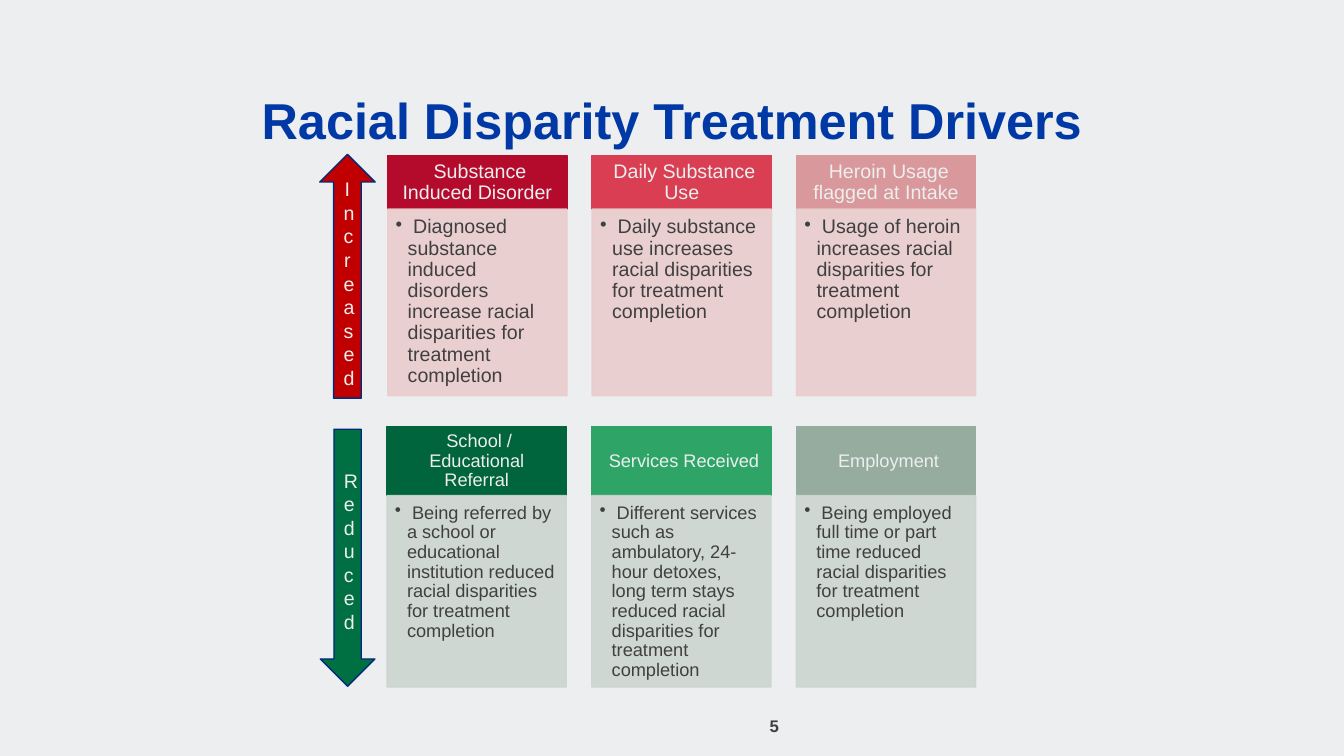
import dataclasses

import lxml.etree
import pptx
import pptx.dml.color
import pptx.enum.shapes
import pptx.enum.text
import pptx.oxml.ns
import pptx.util

Pt = pptx.util.Pt
SHAPES = pptx.enum.shapes.MSO_SHAPE
ALIGN = pptx.enum.text.PP_ALIGN
ANCHOR = pptx.enum.text.MSO_ANCHOR

FONT = "Arial"
PALE = "EDEEEF"
DARK = "404041"
NAVY = "002A7B"
NBSP = " "
CARD_WIDTH = 128


@dataclasses.dataclass
class Driver:
    heading: str
    effect: str
    color: str


@dataclasses.dataclass
class Direction:
    label: str
    arrow: SHAPES
    arrow_color: str
    arrow_box: tuple[float, float, float, float]
    left: float
    pitch: float
    top: float
    heading_height: float
    effect_height: float
    tint: str
    size: float
    drivers: list[Driver]


DIRECTIONS = [
    Direction(
        "Increased", SHAPES.UP_ARROW, "C00000", (228.4, 110.2, 39.6, 174.2),
        277, 146, 111, 38.4, 133.3, "EACCCD", 14,
        [
            Driver("Substance Induced Disorder",
                   "Diagnosed substance induced disorders increase racial disparities "
                   "for treatment completion", "B40B2C"),
            Driver("Daily Substance Use",
                   "Daily substance use increases racial disparities for treatment completion",
                   "D93E52"),
            Driver("Heroin Usage flagged at Intake",
                   "Usage of heroin increases racial disparities for treatment completion",
                   "D9989B"),
        ]),
    Direction(
        "Reduced", SHAPES.DOWN_ARROW, "006F42", (228.8, 306.6, 39, 183.6),
        276.5, 146.2, 304.8, 49.2, 136.8, "CCD5CF", 13,
        [
            Driver("School / Educational Referral",
                   "Being referred by a school or educational institution reduced racial "
                   "disparities for treatment completion", "00653C"),
            Driver("Services Received",
                   "Different services such as ambulatory, 24-hour detoxes, long term stays "
                   "reduced racial disparities for treatment completion", "2EA567"),
            Driver("Employment",
                   "Being employed full time or part time reduced racial disparities "
                   "for treatment completion", "95AC9E"),
        ]),
]


def rgb(color: str) -> pptx.dml.color.RGBColor:
    return pptx.dml.color.RGBColor.from_string(color)


def write(shape, text: str, size: float, color: str, bold: bool = False,
          align: ALIGN = ALIGN.CENTER, anchor: ANCHOR = ANCHOR.MIDDLE,
          insets: tuple[float, float, float, float] = (7.2, 3.6, 7.2, 3.6),
          spacing: float = 1.0, bullet: bool = False) -> None:
    frame = shape.text_frame
    frame.text = text
    frame.word_wrap = True
    frame.auto_size = pptx.enum.text.MSO_AUTO_SIZE.NONE
    frame.vertical_anchor = anchor
    frame.margin_left, frame.margin_top, frame.margin_right, frame.margin_bottom = map(Pt, insets)
    paragraph = frame.paragraphs[0]
    paragraph.alignment = align
    paragraph.line_spacing = spacing
    if bullet:
        properties = paragraph._p.get_or_add_pPr()
        properties.set("marL", str(Pt(8.64)))
        properties.set("indent", str(Pt(-8.64)))
        mark = lxml.etree.SubElement(properties, pptx.oxml.ns.qn("a:buChar"))
        mark.set("char", "•")
    font = paragraph.runs[0].font
    font.name = FONT
    font.size = Pt(size)
    font.bold = bold
    font.color.rgb = rgb(color)


def add_block(slide, kind: SHAPES, box: tuple[float, float, float, float],
              fill: str, line: str, opacity: int = 100):
    block = slide.shapes.add_shape(kind, *map(Pt, box))
    block.shadow.inherit = False
    block.fill.solid()
    block.fill.fore_color.rgb = rgb(fill)
    block.line.color.rgb = rgb(line)
    block.line.width = Pt(1)
    if opacity < 100:
        for tone in block._element.spPr.iter(pptx.oxml.ns.qn("a:srgbClr")):
            alpha = lxml.etree.SubElement(tone, pptx.oxml.ns.qn("a:alpha"))
            alpha.set("val", str(opacity * 1000))
    return block


def add_direction(slide, direction: Direction) -> None:
    for column, driver in enumerate(direction.drivers):
        left = direction.left + column * direction.pitch
        heading = add_block(
            slide, SHAPES.RECTANGLE,
            (left, direction.top, CARD_WIDTH, direction.heading_height),
            driver.color, driver.color)
        write(heading, NBSP + driver.heading, direction.size, PALE,
              insets=(7.6, 4.3, 7.6, 4.3), spacing=0.9)
        effect = add_block(
            slide, SHAPES.RECTANGLE,
            (left, direction.top + direction.heading_height, CARD_WIDTH, direction.effect_height),
            direction.tint, direction.tint, 90)
        write(effect, NBSP + driver.effect, direction.size, DARK, align=ALIGN.LEFT,
              anchor=ANCHOR.TOP, insets=(5.6, 5.6, 7.6, 8.2), spacing=0.9, bullet=True)
    arrow = add_block(slide, direction.arrow, direction.arrow_box, direction.arrow_color, NAVY)
    write(arrow, direction.label, 14, PALE)


def main() -> None:
    deck = pptx.Presentation()
    deck.slide_width, deck.slide_height = Pt(960), Pt(540)
    slide = deck.slides.add_slide(deck.slide_layouts[5])
    slide.background.fill.solid()
    slide.background.fill.fore_color.rgb = rgb(PALE)

    title = slide.shapes.title
    title.left, title.top, title.width, title.height = map(Pt, (30, 67.7, 900, 39.6))
    write(title, "Racial Disparity Treatment Drivers", 36, "0039A6", bold=True,
          anchor=ANCHOR.BOTTOM, insets=(0, 0, 0, 0), spacing=0.9)

    page_number = slide.shapes.add_textbox(*map(Pt, (445, 504, 216, 28.8)))
    write(page_number, "5", 12, DARK, bold=True)

    for direction in reversed(DIRECTIONS):
        add_direction(slide, direction)

    deck.save("out.pptx")


if __name__ == "__main__":
    main()
